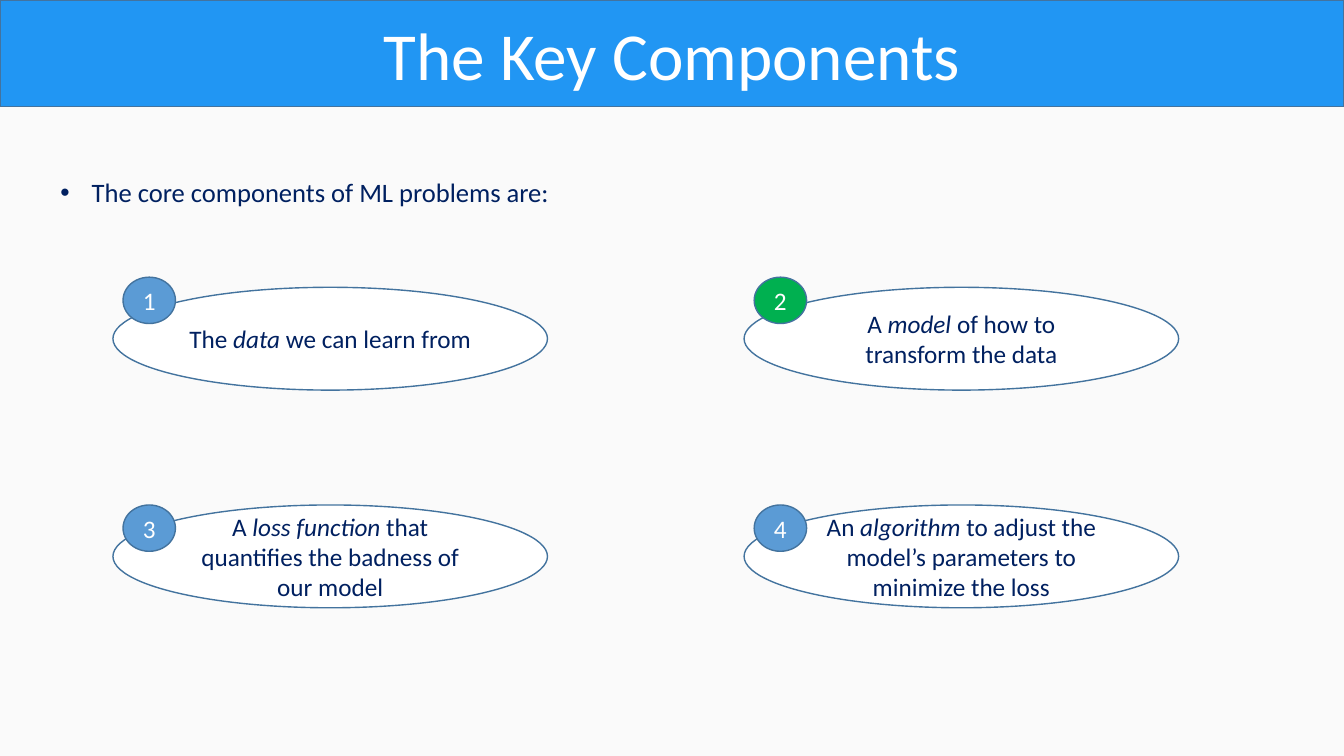
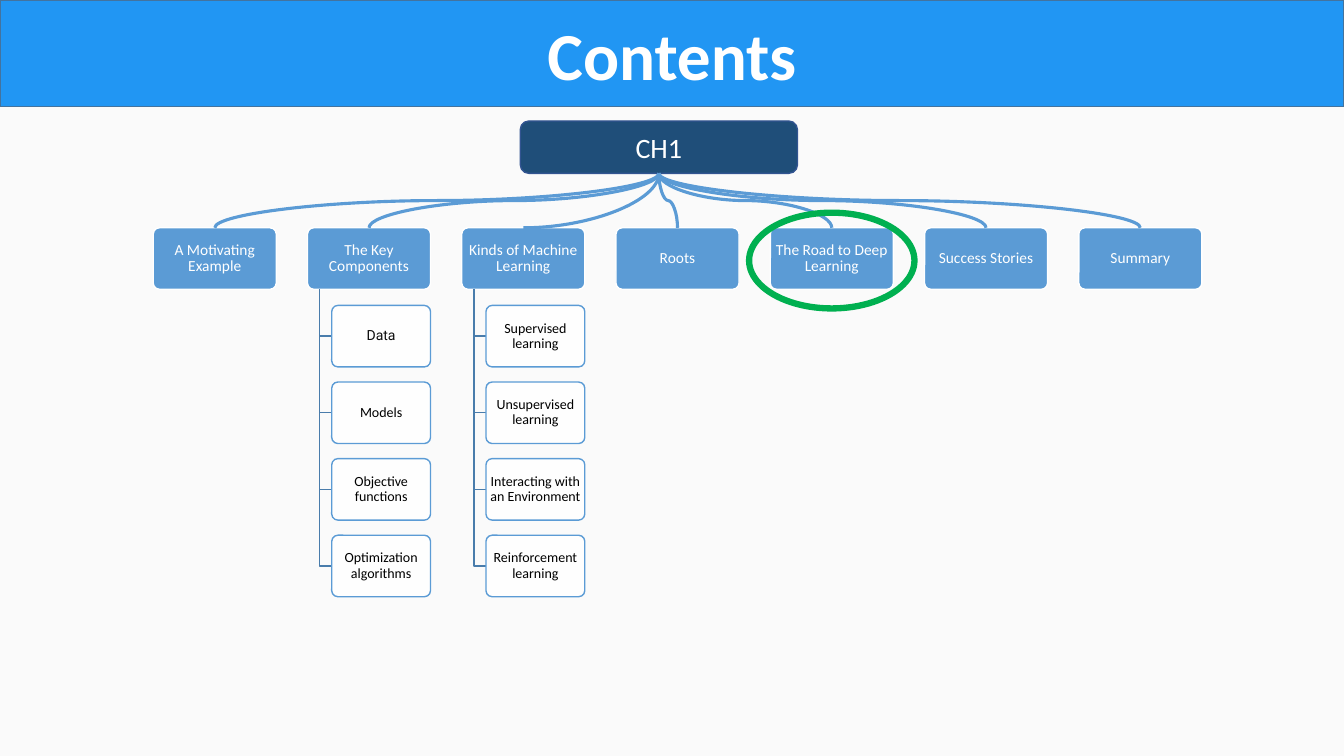
from dataclasses import dataclass

from lxml.etree import SubElement
from pptx import Presentation
from pptx.dml.color import RGBColor
from pptx.enum.shapes import MSO_CONNECTOR, MSO_SHAPE
from pptx.enum.text import MSO_ANCHOR, MSO_AUTO_SIZE, PP_ALIGN
from pptx.oxml.ns import qn
from pptx.presentation import Presentation as Deck
from pptx.shapes.autoshape import Shape
from pptx.slide import Slide
from pptx.util import Inches, Pt

# Shared colours and fonts
PAGE = RGBColor(0xFA, 0xFA, 0xFA)
BAND_BLUE = RGBColor(0x21, 0x96, 0xF3)
OUTLINE = RGBColor(0x43, 0x73, 0x9E)
BLUE = RGBColor(0x5B, 0x9B, 0xD5)
DARK_BLUE = RGBColor(0x1F, 0x4E, 0x79)
ROOT_OUTLINE = RGBColor(0x32, 0x54, 0x91)
BRANCH_LINE = RGBColor(0x49, 0x7C, 0xAB)
NAVY = RGBColor(0x00, 0x20, 0x60)
GREEN = RGBColor(0x00, 0xB0, 0x50)
WHITE = RGBColor(0xFF, 0xFF, 0xFF)
BLACK = RGBColor(0x00, 0x00, 0x00)
NEAR_BLACK = RGBColor(0x0D, 0x0D, 0x0D)
FONT = "Calibri"

SLIDE_WIDTH, SLIDE_HEIGHT = 13.33, 7.5
BAND_HEIGHT = 1.06
TITLE_AND_BODY, TITLE_ONLY = 1, 5


@dataclass(frozen=True)
class Box:
    left: float
    top: float
    width: float
    height: float


@dataclass(frozen=True)
class TextStyle:
    size: float
    color: RGBColor
    bold: bool = False
    font: str = FONT


@dataclass(frozen=True)
class Component:
    before: str
    term: str
    after: str
    badge_color: RGBColor = BLUE


@dataclass(frozen=True)
class Topic:
    name: str
    children: tuple[str, ...] = ()


COMPONENTS = (
    Component("The ", "data ", "we can learn from"),
    Component("A ", "model", " of how to transform the data", GREEN),
    Component("A ", "loss function ", "that quantifies the badness of our model"),
    Component("An ", "algorithm", " to adjust the model’s parameters to minimize the loss"),
)
COMPONENT_LEFTS = (1.12, 7.38)
COMPONENT_TOPS = (2.85, 5.01)
BADGE_TOPS = (2.75, 5.01)

TOPICS = (
    Topic("A Motivating Example"),
    Topic("The Key Components",
          ("Data", "Models", "Objective functions", "Optimization algorithms")),
    Topic("Kinds of Machine Learning",
          ("Supervised learning", "Unsupervised learning",
           "Interacting with an Environment", "Reinforcement learning")),
    Topic("Roots"),
    Topic("The Road to Deep Learning"),
    Topic("Success Stories"),
    Topic("Summary"),
)
ROOT = Box(5.16, 1.2, 2.75, 0.52)
TOPIC_LEFT, TOPIC_TOP, TOPIC_PITCH = 1.52, 2.26, 1.53
TOPIC_WIDTH, NODE_HEIGHT = 1.22, 0.61
CHILD_TOP, CHILD_PITCH, CHILD_WIDTH = 3.03, 0.76, 0.98
TRUNK_INDENT, CHILD_INDENT = 0.12, 0.24
BENT_TOPIC = "Kinds of Machine Learning"

COMPONENT_STYLE = TextStyle(18, NAVY)
BADGE_STYLE = TextStyle(18, WHITE)
ROOT_STYLE = TextStyle(20, WHITE)
TOPIC_STYLE = TextStyle(11, WHITE)
CHILD_STYLE = TextStyle(10, BLACK)
DATA_STYLE = TextStyle(10, NEAR_BLACK, font="Roboto")


# Shared drawing functions
def add_run(paragraph, text: str, style: TextStyle, italic: bool = False) -> None:
    run = paragraph.add_run()
    run.text = text
    run.font.name = style.font
    run.font.size = Pt(style.size)
    run.font.color.rgb = style.color
    run.font.bold = style.bold
    run.font.italic = italic


def place(shape, box: Box) -> None:
    shape.left, shape.top = Inches(box.left), Inches(box.top)
    shape.width, shape.height = Inches(box.width), Inches(box.height)


def paint(shape, fill: RGBColor | None, line: RGBColor, weight: float = 1) -> None:
    if fill is None:
        shape.fill.background()
    else:
        shape.fill.solid()
        shape.fill.fore_color.rgb = fill
    shape.line.color.rgb = line
    shape.line.width = Pt(weight)


def add_figure(slide: Slide, kind: MSO_SHAPE, box: Box, fill: RGBColor | None,
               line: RGBColor, weight: float = 1) -> Shape:
    shape = slide.shapes.add_shape(kind, 0, 0, 0, 0)
    place(shape, box)
    shape.shadow.inherit = False
    paint(shape, fill, line, weight)
    return shape


def centred_paragraph(shape):
    frame = shape.text_frame
    frame.word_wrap = True
    frame.vertical_anchor = MSO_ANCHOR.MIDDLE
    paragraph = frame.paragraphs[0]
    paragraph.alignment = PP_ALIGN.CENTER
    return paragraph


def add_titled_slide(presentation: Deck, layout: int, title: str,
                     bold: bool = False) -> Slide:
    slide = presentation.slides.add_slide(presentation.slide_layouts[layout])
    band = slide.shapes.title
    place(band, Box(0, 0, SLIDE_WIDTH, BAND_HEIGHT))
    paint(band, BAND_BLUE, OUTLINE)
    band.text_frame.auto_size = MSO_AUTO_SIZE.NONE
    add_run(centred_paragraph(band), title, TextStyle(48, WHITE, bold))
    return slide


# Key components slide
def fill_body(slide: Slide, text: str) -> None:
    body = slide.placeholders[1]
    place(body, Box(0.5, 1.7, 5.1, 0.42))
    frame = body.text_frame
    frame.word_wrap = False
    frame.auto_size = MSO_AUTO_SIZE.NONE
    paragraph = frame.paragraphs[0]
    paragraph.space_before = Pt(0)
    add_run(paragraph, text, TextStyle(19, NAVY))
    properties = paragraph._p.get_or_add_pPr()
    properties.set("marL", str(Inches(0.31)))
    properties.set("indent", str(-Inches(0.31)))
    SubElement(properties, qn("a:buFont")).set("typeface", "Arial")
    SubElement(properties, qn("a:buChar")).set("char", "•")


def add_component(slide: Slide, index: int, component: Component) -> None:
    row, column = divmod(index, len(COMPONENT_LEFTS))
    left = COMPONENT_LEFTS[column]
    oval = add_figure(slide, MSO_SHAPE.OVAL, Box(left, COMPONENT_TOPS[row], 4.31, 1.02),
                      WHITE, OUTLINE)
    paragraph = centred_paragraph(oval)
    add_run(paragraph, component.before, COMPONENT_STYLE)
    add_run(paragraph, component.term, COMPONENT_STYLE, italic=True)
    add_run(paragraph, component.after, COMPONENT_STYLE)
    badge = add_figure(slide, MSO_SHAPE.OVAL, Box(left + 0.1, BADGE_TOPS[row], 0.52, 0.46),
                       component.badge_color, OUTLINE)
    add_run(centred_paragraph(badge), str(index + 1), BADGE_STYLE)


def build_components(presentation: Deck) -> None:
    slide = add_titled_slide(presentation, TITLE_AND_BODY, "The Key Components")
    fill_body(slide, "The core components of ML problems are:")
    for index, component in enumerate(COMPONENTS):
        add_component(slide, index, component)


# Contents slide
def add_node(slide: Slide, box: Box, text: str, style: TextStyle,
             fill: RGBColor, line: RGBColor) -> Shape:
    node = add_figure(slide, MSO_SHAPE.ROUNDED_RECTANGLE, box, fill, line)
    node.adjustments[0] = 0.1
    frame = node.text_frame
    frame.margin_left = frame.margin_right = Inches(0.02)
    frame.margin_top = frame.margin_bottom = Inches(0.02)
    paragraph = centred_paragraph(node)
    paragraph.line_spacing = 0.9
    add_run(paragraph, text, style)
    return node


def add_branch(slide: Slide, trunk: float, child: Box) -> None:
    middle = Inches(child.top + child.height / 2)
    builder = slide.shapes.build_freeform(Inches(trunk), Inches(TOPIC_TOP + NODE_HEIGHT))
    builder.add_line_segments(
        [(Inches(trunk), middle), (Inches(child.left), middle)], close=False)
    branch = builder.convert_to_shape()
    branch.shadow.inherit = False
    paint(branch, None, BRANCH_LINE)


def add_topic(slide: Slide, left: float, topic: Topic) -> None:
    add_node(slide, Box(left, TOPIC_TOP, TOPIC_WIDTH, NODE_HEIGHT), topic.name,
             TOPIC_STYLE, BLUE, WHITE)
    for row, name in enumerate(topic.children):
        box = Box(left + CHILD_INDENT, CHILD_TOP + row * CHILD_PITCH,
                  CHILD_WIDTH, NODE_HEIGHT)
        add_branch(slide, left + TRUNK_INDENT, box)
        style = DATA_STYLE if name == "Data" else CHILD_STYLE
        node = add_node(slide, box, name, style, WHITE, BLUE)
        color = node._element.spPr.find(qn("a:solidFill"))[0]
        SubElement(color, qn("a:alpha")).set("val", "90000")


def add_curve(slide: Slide, end_x: float, bent: bool) -> None:
    """Draw a curve that leaves the root downwards, as a turned connector."""
    start_x, start_y = ROOT.left + ROOT.width / 2, ROOT.top + ROOT.height
    centre_x, centre_y = (start_x + end_x) / 2, (start_y + TOPIC_TOP) / 2
    half_length, half_span = (TOPIC_TOP - start_y) / 2, abs(end_x - start_x) / 2
    to_left = end_x < start_x
    reach = half_length if to_left else -half_length
    curve = slide.shapes.add_connector(
        MSO_CONNECTOR.CURVE,
        Inches(centre_x - reach), Inches(centre_y - half_span),
        Inches(centre_x + reach), Inches(centre_y + half_span))
    curve.line.color.rgb = BLUE
    curve.line.width = Pt(2.25)
    properties = curve._element.spPr
    properties.find(qn("a:xfrm")).set("rot", str((90 if to_left else 270) * 60000))
    if bent:
        properties.find(qn("a:prstGeom")).set("prst", "curvedConnector2")
    SubElement(properties, qn("a:effectLst"))


def build_contents(presentation: Deck) -> None:
    slide = add_titled_slide(presentation, TITLE_ONLY, "Contents", bold=True)
    root = add_figure(slide, MSO_SHAPE.ROUNDED_RECTANGLE, ROOT, DARK_BLUE, ROOT_OUTLINE)
    add_run(centred_paragraph(root), "CH1", ROOT_STYLE)
    lefts = [TOPIC_LEFT + column * TOPIC_PITCH for column in range(len(TOPICS))]
    for left, topic in zip(lefts, TOPICS):
        add_topic(slide, left, topic)
    for left, topic in zip(lefts, TOPICS):
        add_curve(slide, left + TOPIC_WIDTH / 2, topic.name == BENT_TOPIC)
    # Ring around the current topic
    add_figure(slide, MSO_SHAPE.OVAL, Box(7.43, 2.11, 1.64, 0.95), None, GREEN, 4.5)


def main() -> None:
    presentation = Presentation()
    presentation.slide_width = Inches(SLIDE_WIDTH)
    presentation.slide_height = Inches(SLIDE_HEIGHT)
    background = presentation.slide_master.background.fill
    background.solid()
    background.fore_color.rgb = PAGE
    build_components(presentation)
    build_contents(presentation)
    presentation.save("out.pptx")


if __name__ == "__main__":
    main()
